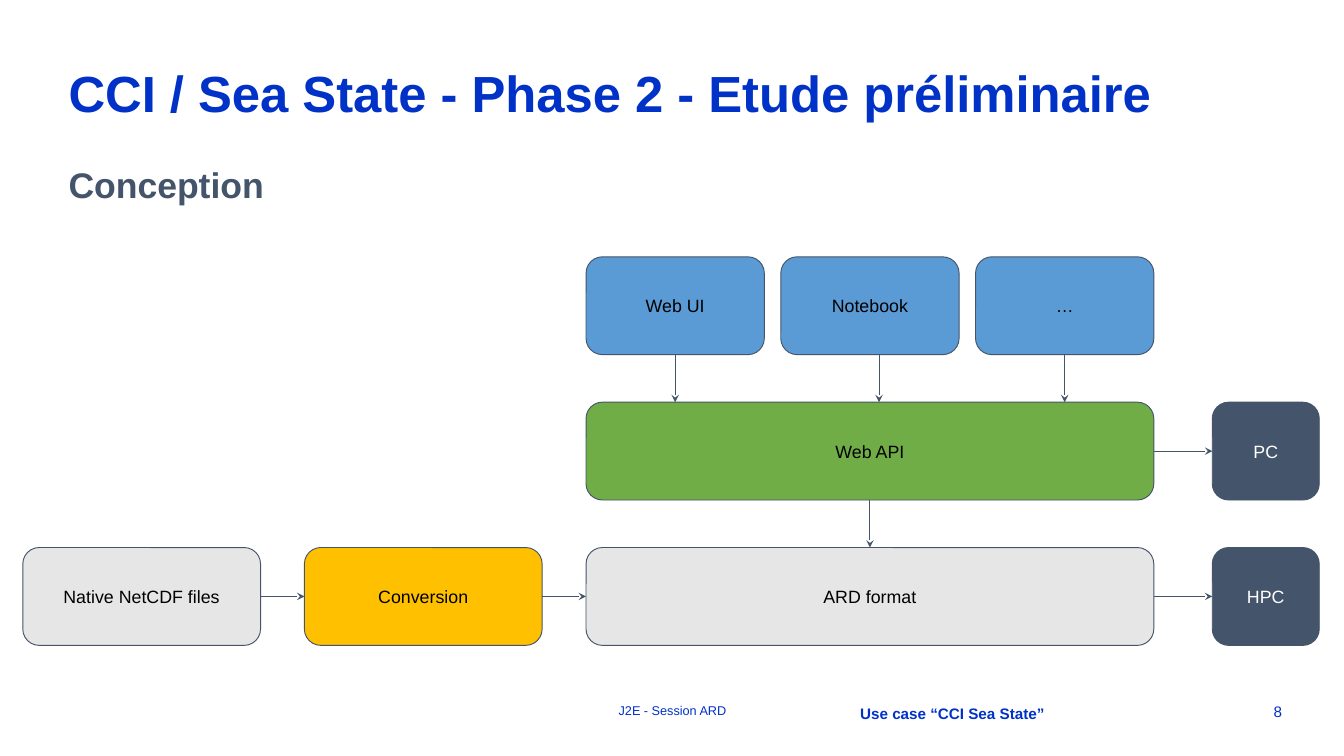
from lxml.etree import SubElement
from pptx import Presentation
from pptx.dml.color import RGBColor
from pptx.enum.shapes import MSO_CONNECTOR as Connector, MSO_SHAPE as Shape
from pptx.enum.text import MSO_ANCHOR as Anchor, MSO_AUTO_SIZE as AutoSize, PP_ALIGN as Align
from pptx.oxml.ns import qn
from pptx.util import Inches, Pt

# Content
COLORS = {"royal": "0032C8", "slate": "44546A", "grey": "E7E6E6", "amber": "FFC000",
          "green": "70AD47", "sky": "5B9BD5", "black": "000000", "white": "FFFFFF"}
FONT = "Arial"
TITLE = "CCI / Sea State - Phase 2 - Etude préliminaire"

# text, (left, top, width, height), size, bold, colour, alignment, side inset
CAPTIONS = [
    ("Conception", (0.75, 1.79, 13.2, 0.53), 28, True, "slate", Align.LEFT, 0),
    ("J2E - Session ARD", (6.17, 7.66, 2.37, 0.27), 10, False, "royal", Align.CENTER, 0.1),
    ("Use case “CCI Sea State”", (9.31, 7.68, 3.57, 0.28), 12, True, "royal", Align.LEFT, 0.1),
    ("8", (13, 7.66, 1.12, 0.3), 12, False, "royal", Align.RIGHT, 0.1),
]

# Grid columns: left, width; the client columns split the service column in three
SERVICE_LEFT, SERVICE_WIDTH, CLIENT_GAP = 6.41, 6.21, 0.18
CLIENT_WIDTH = (SERVICE_WIDTH - 2 * CLIENT_GAP) / 3
COLUMNS = {"source": (0.25, 2.6), "convert": (3.33, 2.6),
           "service": (SERVICE_LEFT, SERVICE_WIDTH), "host": (13.26, 1.17)}
for i in range(3):
    COLUMNS[f"client {i}"] = (SERVICE_LEFT + i * (CLIENT_WIDTH + CLIENT_GAP), CLIENT_WIDTH)
ROW_TOP, ROW_PITCH, ROW_HEIGHT = 2.81, 1.59, 1.07

# label: column, row, fill, text colour
BLOCKS = {
    "Web UI": ("client 0", 0, "sky", "black"),
    "Notebook": ("client 1", 0, "sky", "black"),
    "…": ("client 2", 0, "sky", "black"),
    "Web API": ("service", 1, "green", "black"),
    "PC": ("host", 1, "slate", "white"),
    "Native NetCDF files": ("source", 2, "grey", "black"),
    "Conversion": ("convert", 2, "amber", "black"),
    "ARD format": ("service", 2, "grey", "black"),
    "HPC": ("host", 2, "slate", "white"),
}

# from, to, sideways shift of the arrow
FLOWS = [
    ("Web UI", "Web API", 0), ("Notebook", "Web API", 0.1), ("…", "Web API", 0),
    ("Web API", "ARD format", 0), ("Web API", "PC", 0),
    ("Native NetCDF files", "Conversion", 0), ("Conversion", "ARD format", 0),
    ("ARD format", "HPC", 0),
]


def rgb(name):
    return RGBColor.from_string(COLORS[name])


def write(frame, text, size, color, bold=False, align=Align.LEFT,
          anchor=Anchor.TOP, inset=(0.1, 0.05)):
    frame.word_wrap = True
    frame.auto_size = AutoSize.NONE
    frame.vertical_anchor = anchor
    frame.margin_left = frame.margin_right = Inches(inset[0])
    frame.margin_top = frame.margin_bottom = Inches(inset[1])
    paragraph = frame.paragraphs[0]
    paragraph.alignment = align
    paragraph.space_before = Pt(0)
    paragraph.line_spacing = 1.0 if anchor == Anchor.MIDDLE else 0.9
    run = paragraph.add_run()
    run.text = text
    run.font.name, run.font.size, run.font.bold = FONT, Pt(size), bold
    run.font.color.rgb = rgb(color)


def outline(part):
    part.line.color.rgb = rgb("slate")
    part.line.width = Pt(0.75)


prs = Presentation()
prs.slide_width, prs.slide_height = Inches(14.7), Inches(8.27)
slide = prs.slides.add_slide(prs.slide_layouts[5])

# Title, subtitle and footer
title = slide.shapes.title
title.left, title.top, title.width, title.height = map(Inches, (0.75, 0.7, 13.2, 0.71))
write(title.text_frame, TITLE, 40, "royal", bold=True, inset=(0, 0.05))
for text, area, size, bold, color, align, side in CAPTIONS:
    caption = slide.shapes.add_textbox(*map(Inches, area))
    write(caption.text_frame, text, size, color, bold, align, inset=(side, 0.05))

# Architecture blocks
blocks = {}
for label, (column, row, fill, ink) in BLOCKS.items():
    left, width = COLUMNS[column]
    area = (left, ROW_TOP + row * ROW_PITCH, width, ROW_HEIGHT)
    block = slide.shapes.add_shape(Shape.ROUNDED_RECTANGLE, *map(Inches, area))
    block.adjustments[0] = 0.167
    block.shadow.inherit = False
    block.fill.solid()
    block.fill.fore_color.rgb = rgb(fill)
    outline(block)
    write(block.text_frame, label, 14, ink, align=Align.CENTER,
          anchor=Anchor.MIDDLE, inset=(0.1, 0.1))
    blocks[label] = block

# Arrows: across within a row, down between rows
for origin, target, shift in FLOWS:
    a, b = blocks[origin], blocks[target]
    if a.top == b.top:
        y = a.top + a.height // 2
        ends = (a.left + a.width, y, b.left, y)
    else:
        x = a.left + a.width // 2 + Inches(shift)
        ends = (x, a.top + a.height, x, b.top)
    arrow = slide.shapes.add_connector(Connector.STRAIGHT, *ends)
    outline(arrow)
    SubElement(arrow.line._get_or_add_ln(), qn("a:tailEnd"), type="stealth")
    SubElement(arrow._element.spPr, qn("a:effectLst"))

prs.save("out.pptx")
